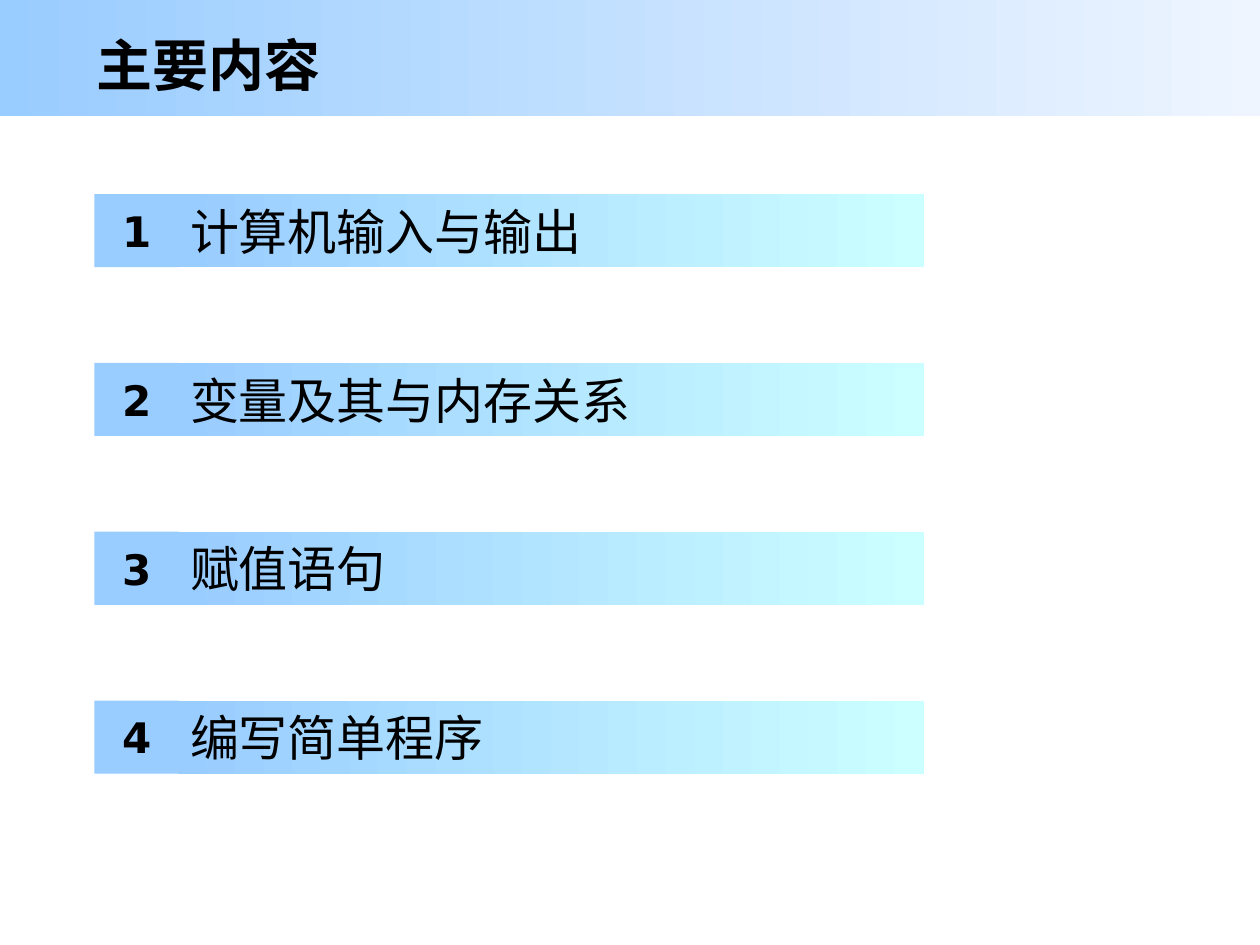
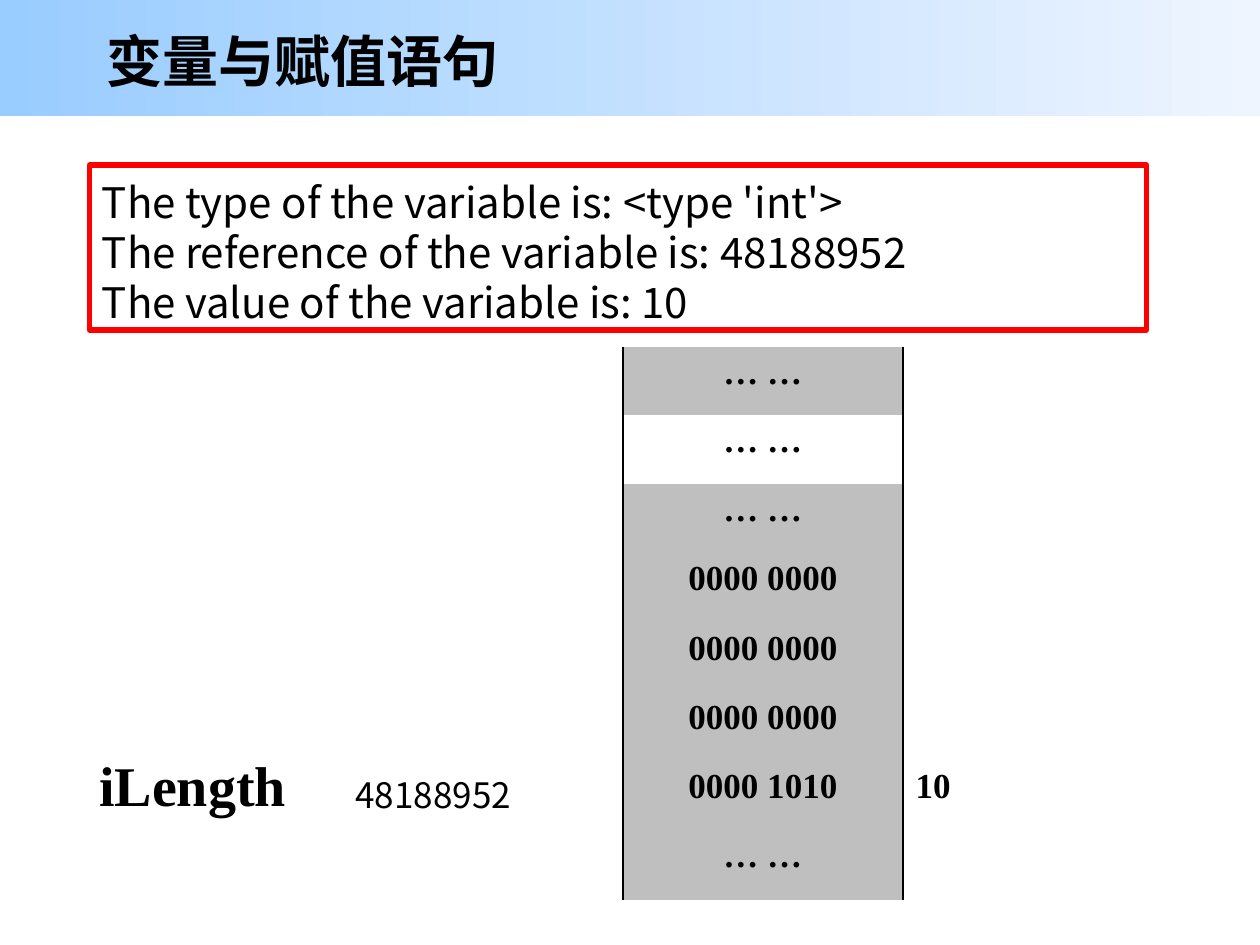
"""Builds two lecture slides on variables, memory and assignment."""
from dataclasses import dataclass

import pptx
import pptx.dml.color
import pptx.enum.shapes
import pptx.enum.text
import pptx.oxml
import pptx.oxml.ns
import pptx.util
from pptx.util import Inches

ALIGN = pptx.enum.text.PP_ALIGN
ANCHOR = pptx.enum.text.MSO_ANCHOR


@dataclass(frozen=True)
class Theme:
    ink: str = "000000"
    paper: str = "FFFFFF"
    sky: str = "99CCFF"
    mist: str = "EEF5FF"
    aqua: str = "CCFFFF"
    memory: str = "BFBFBF"
    alert: str = "FF0000"
    cjk: str = "Noto Sans CJK SC"
    digits: str = "DejaVu Sans"
    serif: str = "Times New Roman"
    title_size: int = 32
    topic_size: int = 28
    output_size: int = 24
    cell_size: int = 20
    no_grid: str = "{2D5ABB26-0587-4C30-8999-92F81FD0307C}"


THEME = Theme()


def rgb(code):
    return pptx.dml.color.RGBColor.from_string(code)


def write(frame, text, size, font=THEME.cjk, bold=False, align=ALIGN.LEFT, spacing=None):
    for index, line in enumerate(text.split("\n")):
        paragraph = frame.add_paragraph() if index else frame.paragraphs[0]
        paragraph.alignment = align
        if spacing:
            paragraph.line_spacing = pptx.util.Pt(spacing)
        run = paragraph.add_run()
        run.text = line
        run.font.size = pptx.util.Pt(size)
        run.font.bold = bold
        run.font.name = font
        run.font.color.rgb = rgb(THEME.ink)
        latin = run.font._element.find(pptx.oxml.ns.qn("a:latin"))
        east_asian = pptx.oxml.parse_xml(f'<a:ea {pptx.oxml.ns.nsdecls("a")} typeface="{font}"/>')
        latin.addnext(east_asian)


def add_label(slide, area, text, size, wrap=True, **style):
    frame = slide.shapes.add_textbox(*map(Inches, area)).text_frame
    frame.word_wrap = wrap
    frame.vertical_anchor = ANCHOR.MIDDLE
    write(frame, text, size, **style)


def add_panel(slide, area, colours=()):
    """Adds a rectangle with no colour, one flat colour or a two-colour gradient."""
    panel = slide.shapes.add_shape(pptx.enum.shapes.MSO_SHAPE.RECTANGLE, *map(Inches, area))
    panel.shadow.inherit = False
    panel.line.fill.background()
    panel.text_frame.word_wrap = True
    panel.text_frame.vertical_anchor = ANCHOR.MIDDLE
    if len(colours) == 2:
        panel.fill.gradient()
        panel.fill.gradient_angle = 0
        for stop, colour in zip(panel.fill.gradient_stops, colours):
            stop.color.rgb = rgb(colour)
    elif colours:
        panel.fill.solid()
        panel.fill.fore_color.rgb = rgb(colours[0])
    else:
        panel.fill.background()
    return panel


def add_titled_slide(deck, title, area):
    slide = deck.slides.add_slide(deck.slide_layouts[6])
    add_panel(slide, (0, 0, 10, 0.92), (THEME.sky, THEME.mist))
    add_label(slide, area, title, THEME.title_size, bold=True)
    return slide


def add_topic(slide, number, topic, top):
    bar = add_panel(slide, (1.41, top, 5.92, 0.58), (THEME.sky, THEME.aqua))
    write(bar.text_frame, topic, THEME.topic_size)
    badge = add_panel(slide, (0.75, top, 0.67, 0.58), (THEME.sky,))
    write(badge.text_frame, str(number), THEME.output_size,
          font=THEME.digits, bold=True, align=ALIGN.CENTER)


def add_program_output(slide, text):
    output = add_panel(slide, (0.71, 1.31, 8.39, 1.31))
    output.line.color.rgb = rgb(THEME.alert)
    output.line.width = pptx.util.Pt(3)
    output.text_frame.vertical_anchor = ANCHOR.TOP
    output.text_frame.margin_top = Inches(0.09)
    write(output.text_frame, text, THEME.output_size, spacing=28.6)


def draw_side_borders(cell):
    properties = cell._tc.get_or_add_tcPr()
    for position, side in enumerate(("lnL", "lnR")):
        properties.insert(position, pptx.oxml.parse_xml(
            f'<a:{side} {pptx.oxml.ns.nsdecls("a")} w="12700"><a:solidFill>'
            f'<a:srgbClr val="{THEME.ink}"/></a:solidFill></a:{side}>'))


def add_memory(slide, contents, free_row, notes):
    """Adds the memory column; notes maps a row to its address and value."""
    frame = slide.shapes.add_table(len(contents), 3, *map(Inches, (2.72, 2.75, 6.67, 4.38)))
    frame._element.find(".//" + pptx.oxml.ns.qn("a:tableStyleId")).text = THEME.no_grid
    memory = frame.table
    memory.first_row = memory.horz_banding = False
    for index, content in enumerate(contents):
        memory.rows[index].height = Inches(0.55 if index else 0.54)
        address, byte, value = memory.rows[index].cells
        for cell in (address, byte, value):
            cell.fill.solid()
            cell.fill.fore_color.rgb = rgb(THEME.paper)
        if index != free_row:
            byte.fill.fore_color.rgb = rgb(THEME.memory)
        draw_side_borders(byte)
        write(byte.text_frame, content, THEME.cell_size,
              font=THEME.serif, bold=True, align=ALIGN.CENTER)
        if index in notes:
            address_text, value_text = notes[index]
            write(address.text_frame, address_text, THEME.cell_size)
            write(value.text_frame, value_text, THEME.cell_size, font=THEME.serif, bold=True)


def main():
    deck = pptx.Presentation()
    deck.slide_width, deck.slide_height = Inches(10), Inches(7.5)

    agenda = add_titled_slide(deck, "主要内容", (0.67, 0.17, 9, 0.67))
    topics = ("计算机输入与输出", "变量及其与内存关系", "赋值语句", "编写简单程序")
    for index, topic in enumerate(topics):
        add_topic(agenda, index + 1, topic, 1.54 + 1.34 * index)

    assignment = add_titled_slide(deck, "变量与赋值语句", (0.75, 0.14, 8.14, 0.67))
    add_program_output(assignment, "The type of the variable is: <type 'int'>\n"
                                   "The reference of the variable is: 48188952\n"
                                   "The value of the variable is: 10")
    contents = ["… …"] * 3 + ["0000 0000"] * 3 + ["0000 1010", "… …"]
    add_memory(assignment, contents, free_row=1, notes={6: ("48188952", "10")})
    add_label(assignment, (0.69, 5.9, 1.7, 0.64), "iLength", THEME.title_size,
              wrap=False, font=THEME.serif, bold=True)

    deck.save("out.pptx")


if __name__ == "__main__":
    main()
